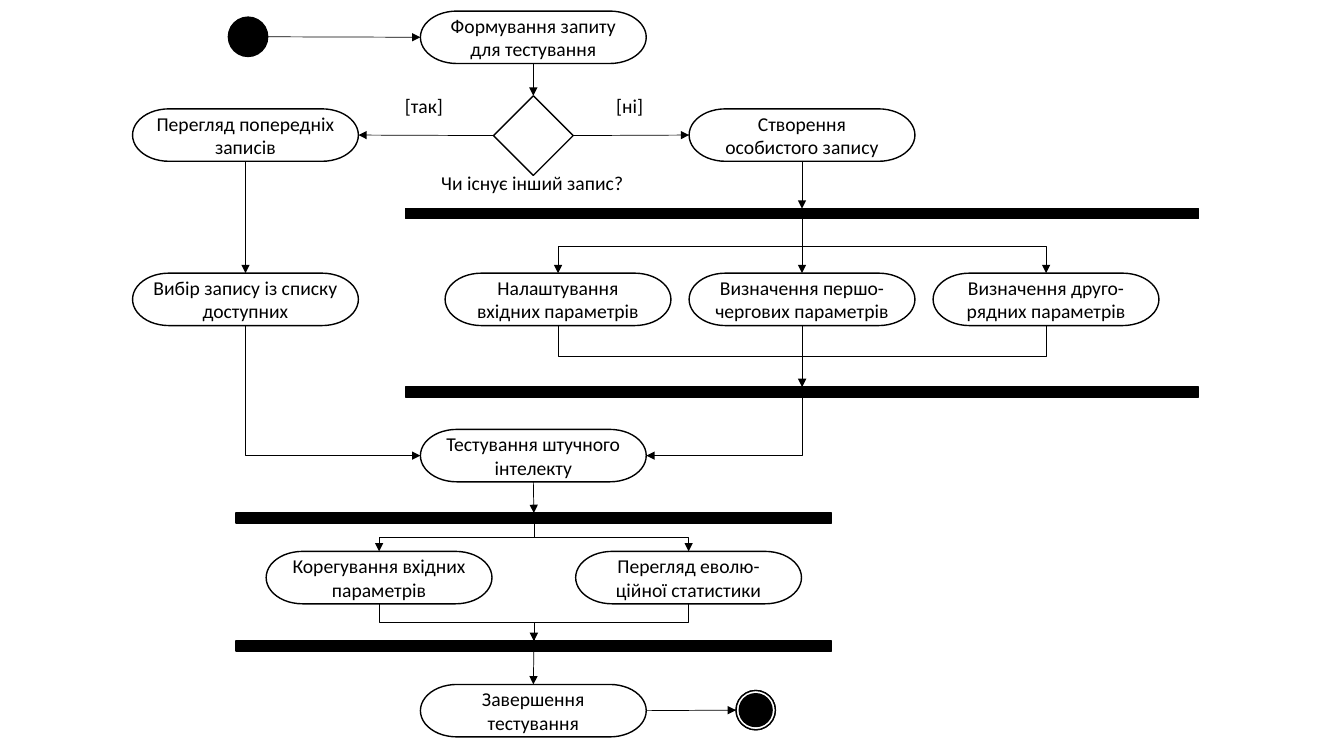
from lxml import etree
from pptx import Presentation
from pptx import util as u
from pptx.dml.color import RGBColor
from pptx.enum import shapes, text
from pptx.oxml.ns import qn

COLORS = {"ink": "000000", "paper": "FFFFFF"}
KIND = shapes.MSO_SHAPE
TOP, LEFT, BOTTOM, RIGHT = range(4)
STEP_W, STEP_H = 22.4, 5.2
DOT = 3.9
BAR_H = 1


def cell(n):
    return u.Inches(n / 10)


def color(name):
    return RGBColor.from_string(COLORS[name])


def write(tf, words):
    tf.word_wrap = True
    p = tf.paragraphs[0]
    p.text = words
    p.alignment = text.PP_ALIGN.CENTER
    p.font.name = "Calibri"
    p.font.size = u.Pt(14)
    p.font.color.rgb = color("ink")


def add_node(s, kind, x, y, w, h, fill="ink"):
    sp = s.shapes.add_shape(kind, cell(x), cell(y), cell(w), cell(h))
    sp.shadow.inherit = False
    sp.fill.solid()
    sp.fill.fore_color.rgb = color(fill)
    sp.line.color.rgb = color("ink")
    sp.line.width = u.Pt(1)
    return sp


def add_step(s, center, y, words):
    sp = add_node(s, KIND.FLOWCHART_TERMINATOR, center - STEP_W / 2, y,
                  STEP_W, STEP_H, "paper")
    write(sp.text_frame, words)
    sp.text_frame.vertical_anchor = text.MSO_ANCHOR.MIDDLE
    return sp


def add_label(s, x, y, w, words):
    tf = s.shapes.add_textbox(cell(x), cell(y), cell(w), cell(3.4)).text_frame
    write(tf, words)
    tf.auto_size = text.MSO_AUTO_SIZE.SHAPE_TO_FIT_TEXT


def side_point(sp, side):
    x = sp.left + {LEFT: 0, RIGHT: sp.width}.get(side, sp.width // 2)
    y = sp.top + {TOP: 0, BOTTOM: sp.height}.get(side, sp.height // 2)
    return x, y


def turn_downward(c, start, end, preset):
    (x1, y1), (x2, y2) = start, end
    across, down = abs(x2 - x1), y2 - y1
    c.left, c.top = (x1 + x2 - down) // 2, (y1 + y2 - across) // 2
    c.width, c.height = down, across
    xfrm = c._element.spPr.find(qn("a:xfrm"))
    for name in ("flipH", "flipV"):
        xfrm.attrib.pop(name, None)
    xfrm.set("rot", str((90 if x2 < x1 else 270) * 60000))
    if x2 > x1:
        xfrm.set("flipH", "1")
    c._element.spPr.find(qn("a:prstGeom")).set("prst", preset)


def connect(s, a, a_side, b, b_side, bend=None, arrow=True):
    start, end = side_point(a, a_side), side_point(b, b_side)
    kind = shapes.MSO_CONNECTOR.ELBOW if bend else shapes.MSO_CONNECTOR.STRAIGHT
    c = s.shapes.add_connector(kind, *start, *end)
    round_shapes = (KIND.OVAL, KIND.DONUT)
    if a.auto_shape_type not in round_shapes:
        c.begin_connect(a, a_side)
    if b.auto_shape_type not in round_shapes:
        c.end_connect(b, b_side)
    if bend:
        turn_downward(c, start, end, bend)
    c.line.color.rgb = color("ink")
    c.line.width = u.Pt(0.5)
    if arrow:
        etree.SubElement(c.line._get_or_add_ln(), qn("a:tailEnd"), type="triangle")
    etree.SubElement(c._element.spPr, qn("a:effectLst"))


def draw_decision(s, x, y, w):
    middle = x + w / 2 + 0.95
    start = add_node(s, KIND.OVAL, x + 9.5, y + 0.6, DOT, DOT)
    request = add_step(s, middle, y, "Формування запиту для тестування")
    choice = add_node(s, KIND.DIAMOND, middle - 3.95, y + 8.4, 7.9, 7.9, "paper")
    review = add_step(s, x + STEP_W / 2, y + 9.7, "Перегляд попередніх записів")
    create = add_step(s, x + w - STEP_W / 2, y + 9.7, "Створення особистого запису")
    pick = add_step(s, x + STEP_W / 2, y + 26, "Вибір запису із списку доступних")
    connect(s, start, RIGHT, request, LEFT)
    connect(s, request, BOTTOM, choice, TOP)
    connect(s, choice, LEFT, review, RIGHT)
    connect(s, choice, RIGHT, create, LEFT)
    connect(s, review, BOTTOM, pick, TOP)
    add_label(s, middle - 14.8, y + 7.7, 7.9, "[так]")
    add_label(s, middle + 5.6, y + 7.7, 7.9, "[ні]")
    add_label(s, middle - 13.3, y + 15.4, 26.4, "Чи існує інший запис?")
    return create, pick


def draw_fork(s, x, y, w, h, drop, pitch, labels):
    split = add_node(s, KIND.RECTANGLE, x, y, w, BAR_H)
    join = add_node(s, KIND.RECTANGLE, x, y + h - BAR_H, w, BAR_H)
    for i, words in enumerate(labels):
        offset = (i - (len(labels) - 1) / 2) * pitch
        step = add_step(s, x + w / 2 + offset, y + drop, words)
        bend = "bentConnector3" if offset else None
        connect(s, split, BOTTOM, step, TOP, bend)
        connect(s, step, BOTTOM, join, TOP, bend, arrow=i == 0)
    return split, join


def draw_finish(s, x, y, w):
    done = add_step(s, x + STEP_W / 2, y, "Завершення тестування")
    end_box = (x + w - DOT, y + 0.6, DOT, DOT)
    add_node(s, KIND.OVAL, *end_box)
    ring = add_node(s, KIND.DONUT, *end_box, "paper")
    ring.adjustments[0] = 0.082
    connect(s, done, RIGHT, ring, LEFT)
    return done


def draw_activity(s):
    create, pick = draw_decision(s, 13.15, 1.1, 77.6)
    split, join = draw_fork(s, 40.2, 20.7, 78.7, 18.7, 6.4, 24.2, [
        "Налаштування вхідних параметрів",
        "Визначення першо-чергових параметрів",
        "Визначення друго-рядних параметрів",
    ])
    testing = add_step(s, 52.9, 42.6, "Тестування штучного інтелекту")
    tune, tuned = draw_fork(s, 23.4, 50.9, 59.1, 13.7, 3.8, 30.7, [
        "Корегування вхідних параметрів",
        "Перегляд еволю-ційної статистики",
    ])
    done = draw_finish(s, 41.7, 67.9, 35.2)
    connect(s, create, BOTTOM, split, TOP)
    connect(s, join, BOTTOM, testing, RIGHT, "bentConnector2")
    connect(s, pick, BOTTOM, testing, LEFT, "bentConnector2")
    connect(s, testing, BOTTOM, tune, TOP)
    connect(s, tuned, BOTTOM, done, TOP)


def main():
    prs = Presentation()
    prs.slide_width, prs.slide_height = u.Inches(13.33), u.Inches(7.5)
    draw_activity(prs.slides.add_slide(prs.slide_layouts[6]))
    prs.save("out.pptx")


if __name__ == "__main__":
    main()
